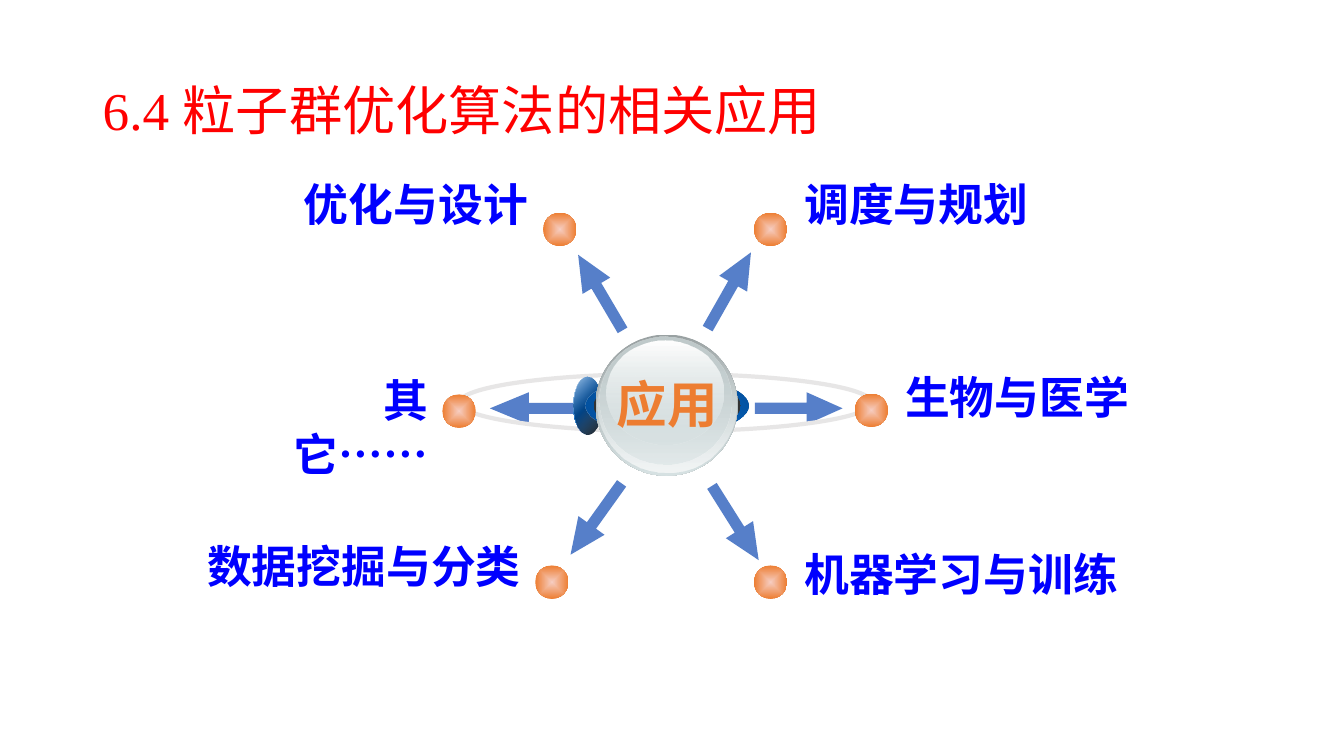
"""Slide with the application fields of particle swarm optimisation around a central ball."""
from lxml import etree
from pptx import Presentation
from pptx import util as u
from pptx.dml.color import RGBColor
from pptx.enum import shapes, text
from pptx.oxml import ns

CJK, LATIN = "Noto Sans CJK SC", "Times New Roman"
RED, BLUE, ORANGE, ARROW, RING = "FF0000", "0000FF", "ED7D31", "4472C4", "E7E6E6"
LEFT, CENTER, RIGHT = text.PP_ALIGN.LEFT, text.PP_ALIGN.CENTER, text.PP_ALIGN.RIGHT
OVAL = shapes.MSO_SHAPE.OVAL

TITLE = ("6.4 粒子群优化算法的相关应用", (2.34, 1.02, 29.21, 3.68))
HUB = ("应用", (15.29, 9.27, 3.05, 1.78))

# label, (left, top, width), alignment, dot centre, arrow (centre x, centre y, length, angle)
SPOKES = [
    ("调度与规划", (20.02, 4.32, 6.22), LEFT, (19.42, 5.78), (18.38, 7.32, 2.21, 299.6)),
    ("优化与设计", (7.34, 4.32, 6.22), RIGHT, (14.11, 5.78), (15.13, 7.37, 2.21, 239.5)),
    ("生物与医学", (22.56, 9.19, 6.22), LEFT, (21.96, 10.34), (20.13, 10.29, 2.21, 0)),
    ("机器学习与训练", (20.02, 13.64, 8.53), LEFT, (19.42, 14.67), (18.53, 13.18, 2.21, 57.8)),
    ("其它……", (6.4, 9.27, 4.65), RIGHT, (11.57, 10.36), (13.54, 10.29, 2.39, 180)),
    ("数据挖掘与分类", (4.85, 13.46, 8.53), RIGHT, (13.91, 14.67), (15.02, 13.08, 2.21, 125.6)),
]
LABEL_H, DOT, ARROW_H, HEAD_SHARE = 1.63, 0.84, 0.81, 0.41
ORBIT = (11.58, 9.42, 10.39, 1.45)
DOT_STOPS = [(0, "F6CDC1", 100), (100, ORANGE, 100)]

CAP, BAND = (14.45, 9.5, 0.71, 1.45), (14.76, 9.5, 4.11, 1.45)
BALL = [
    (CAP, 45, [(0, "FFFFFF", 100), (50, "0563C1", 100), (100, "FFFFFF", 100)]),
    (CAP, 45, [(0, "0563C1", 32), (100, "000000", 90)]),
    (BAND, 315, [(0, "044C94", 100), (50, "0563C1", 100), (100, "044C94", 100)]),
    (BAND, 45, [(0, "04519E", 100), (100, "0563C1", 0)]),
    ((14.96, 9.5, 3.71, 1.45), 0, [(0, "333333", 100), (100, "333333", 100)]),
    ((15.01, 8.43, 3.58, 3.56), 90, [(0, "99A1A2", 100), (100, "D6E1E2", 100)]),
    ((15.06, 8.46, 3.51, 3.45), 90, [(0, "D6E1E2", 0), (100, "F2F5F5", 100)]),
    ((15.11, 8.48, 3.33, 3.23), 90, [(0, "C1CBCC", 100), (100, "D6E1E2", 48)]),
    ((15.29, 8.59, 2.95, 2.62), 90, [(0, "FFFFFF", 100), (100, "D6E1E2", 38)]),
]


def rgb(value):
    return RGBColor.from_string(value)


def sub(parent, tag, **attrs):
    return etree.SubElement(parent, ns.qn(tag), {k: str(v) for k, v in attrs.items()})


def add_shape(slide, kind, box):
    sp = slide.shapes.add_shape(kind, *map(u.Cm, box))
    sp.shadow.inherit = False
    sp.fill.background()
    sp.line.fill.background()
    return sp


def set_gradient(sp, stops, angle=None):
    sp.fill.gradient()
    grad = sp.element.spPr.find(ns.qn("a:gradFill"))
    for child in list(grad):
        grad.remove(child)
    gs_list = sub(grad, "a:gsLst")
    for pos, color, alpha in stops:
        clr = sub(sub(gs_list, "a:gs", pos=pos * 1000), "a:srgbClr", val=color)
        sub(clr, "a:alpha", val=alpha * 1000)
    if angle is None:
        centre = sub(grad, "a:path", path="shape")
        sub(centre, "a:fillToRect", l=50000, t=50000, r=50000, b=50000)
    else:
        sub(grad, "a:lin", ang=angle * 60000, scaled=0)


def add_text(slide, words, box, size, color, font=CJK, bold=True, align=LEFT, wrap=True):
    tf = slide.shapes.add_textbox(*map(u.Cm, box)).text_frame
    tf.word_wrap = wrap
    p = tf.paragraphs[0]
    p.text = words
    p.alignment = align
    p.font.size, p.font.bold, p.font.name = u.Pt(size), bold, font
    p.font.color.rgb = rgb(color)
    r_pr = p.runs[0].font
    r_pr.name = font
    sub(p.runs[0]._r.rPr, "a:ea", typeface=CJK)
    return tf


def add_arrow(slide, cx, cy, length, angle):
    box = (cx - length / 2, cy - ARROW_H / 2, length, ARROW_H)
    sp = add_shape(slide, shapes.MSO_SHAPE.RIGHT_ARROW, box)
    sp.rotation = angle
    sp.adjustments[0] = 0.35
    sp.adjustments[1] = HEAD_SHARE * length / ARROW_H
    sp.fill.solid()
    sp.fill.fore_color.rgb = rgb(ARROW)
    sub(sp.element.spPr.find(".//" + ns.qn("a:srgbClr")), "a:alpha", val=90000)


def main():
    prs = Presentation()
    prs.slide_width, prs.slide_height = u.Cm(33.87), u.Cm(19.05)
    slide = prs.slides.add_slide(prs.slide_layouts[6])

    tf = add_text(slide, *TITLE, 38, RED, LATIN, False)
    tf.vertical_anchor = text.MSO_ANCHOR.MIDDLE
    tf.paragraphs[0].line_spacing = 0.9

    for label, place, align, _, arrow in SPOKES:
        add_text(slide, label, (*place, LABEL_H), 32, BLUE, align=align)
        add_arrow(slide, *arrow)

    orbit = add_shape(slide, OVAL, ORBIT)
    orbit.line.color.rgb = rgb(RING)
    orbit.line.width = u.Pt(3)

    for _, _, _, (cx, cy), _ in SPOKES:
        dot = add_shape(slide, OVAL, (cx - DOT / 2, cy - DOT / 2, DOT, DOT))
        set_gradient(dot, DOT_STOPS)

    for box, angle, stops in BALL:
        set_gradient(add_shape(slide, OVAL, box), stops, angle)
    add_text(slide, *HUB, 36, ORANGE, align=CENTER, wrap=False)

    prs.save("out.pptx")


if __name__ == "__main__":
    main()
